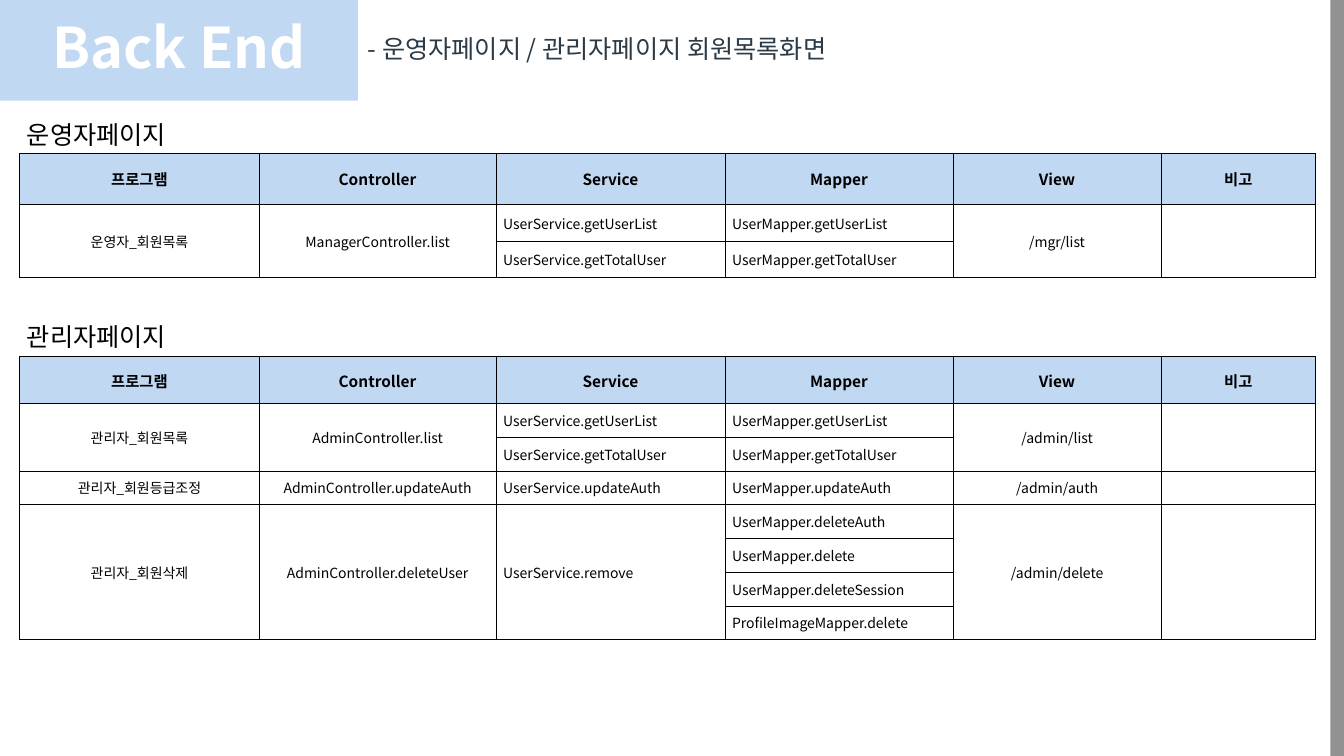
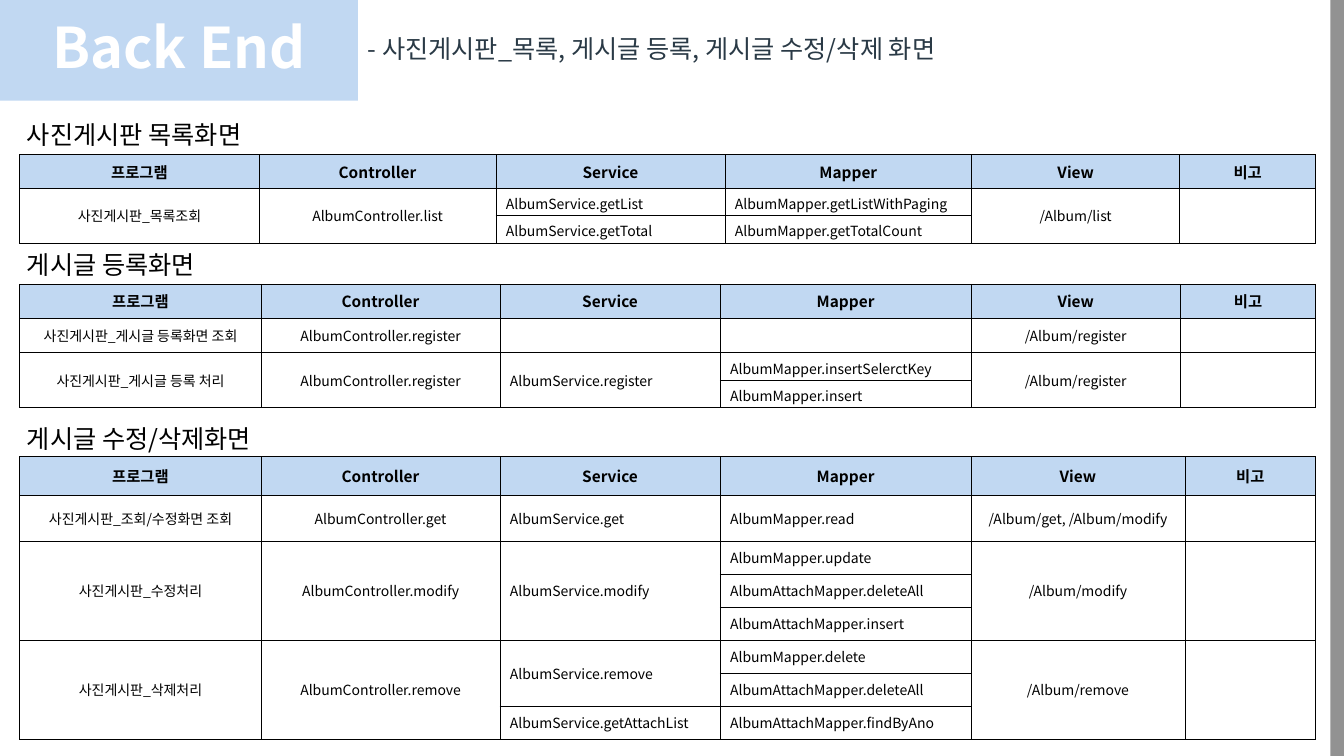
from lxml.etree import SubElement
from pptx import Presentation
from pptx.dml.color import RGBColor
from pptx.enum.shapes import MSO_SHAPE
from pptx.enum.text import MSO_ANCHOR, PP_ALIGN
from pptx.oxml.ns import qn
from pptx.util import Cm, Pt

FONT = "Noto Sans CJK KR"
BLUE, GRAY, NAVY, BLACK, WHITE = "C1D8F2", "929292", "2A3A46", "000000", "FFFFFF"
PAGE_WIDTH, PAGE_HEIGHT = 33.87, 19.05
STRIPE_WIDTH = 0.34
BAND_WIDTH, BAND_HEIGHT = 9.02, 2.54
LABEL_LEFT, LABEL_HEIGHT = 0.43, 1.02
TABLE_LEFT, TABLE_WIDTH = 0.5, 32.66
TIGHT, WIDE = (0.18, 0.1), (0.25, 0.13)  # side and top/bottom cell margins
LEFT_ALIGNED = (2, 3)

BAND_TEXT = "Back End"
HEADER = ["프로그램", "Controller", "Service", "Mapper", "View", "비고"]

# Widths leave out the last column, which takes what remains.
# Entries: program, controller, services, mappers, view.
# A service list gives one item per mapper row; None extends the cell above.
USER_WIDTHS = [6.03, 5.97, 5.77, 5.75, 5.24]
PAGES = [
    {
        "title": "- 운영자페이지 / 관리자페이지 회원목록화면",
        "margins": TIGHT,
        "sections": [
            {
                "label": "운영자페이지", "label_top": 2.87, "table_top": 3.86,
                "widths": USER_WIDTHS, "heights": [1.3] + [0.92] * 2,
                "entries": [
                    ("운영자_회원목록", "ManagerController.list",
                     ["UserService.getUserList", "UserService.getTotalUser"],
                     ["UserMapper.getUserList", "UserMapper.getTotalUser"], "/mgr/list"),
                ],
            },
            {
                "label": "관리자페이지", "label_top": 7.98, "table_top": 8.99,
                "widths": USER_WIDTHS, "heights": [1.18] + [0.85] * 7,
                "entries": [
                    ("관리자_회원목록", "AdminController.list",
                     ["UserService.getUserList", "UserService.getTotalUser"],
                     ["UserMapper.getUserList", "UserMapper.getTotalUser"], "/admin/list"),
                    ("관리자_회원등급조정", "AdminController.updateAuth",
                     ["UserService.updateAuth"], ["UserMapper.updateAuth"], "/admin/auth"),
                    ("관리자_회원삭제", "AdminController.deleteUser",
                     ["UserService.remove", None, None, None],
                     ["UserMapper.deleteAuth", "UserMapper.delete",
                      "UserMapper.deleteSession", "ProfileImageMapper.delete"],
                     "/admin/delete"),
                ],
            },
        ],
    },
    {
        "title": "- 사진게시판_목록, 게시글 등록, 게시글 수정/삭제 화면",
        "margins": WIDE,
        "sections": [
            {
                "label": "사진게시판 목록화면", "label_top": 2.87, "table_top": 3.9,
                "widths": [6.03, 5.97, 5.77, 6.22, 5.24], "heights": [0.85] + [0.68] * 2,
                "entries": [
                    ("사진게시판_목록조회", "AlbumController.list",
                     ["AlbumService.getList", "AlbumService.getTotal"],
                     ["AlbumMapper.getListWithPaging", "AlbumMapper.getTotalCount"],
                     "/Album/list"),
                ],
            },
            {
                "label": "게시글 등록화면", "label_top": 6.17, "table_top": 7.16,
                "widths": [6.08, 6.02, 5.55, 6.32, 5.28], "heights": [0.85, 0.88] + [0.68] * 2,
                "entries": [
                    ("사진게시판_게시글 등록화면 조회", "AlbumController.register",
                     [""], [""], "/Album/register"),
                    ("사진게시판_게시글 등록 처리", "AlbumController.register",
                     ["AlbumService.register", None],
                     ["AlbumMapper.insertSelerctKey", "AlbumMapper.insert"],
                     "/Album/register"),
                ],
            },
            {
                "label": "게시글 수정/삭제화면", "label_top": 10.54, "table_top": 11.5,
                "widths": [6.08, 6.02, 5.55, 6.32, 5.39], "heights": [0.98, 1.16] + [0.83] * 6,
                "entries": [
                    ("사진게시판_조회/수정화면 조회", "AlbumController.get",
                     ["AlbumService.get"], ["AlbumMapper.read"],
                     "/Album/get, /Album/modify"),
                    ("사진게시판_수정처리", "AlbumController.modify",
                     ["AlbumService.modify", None, None],
                     ["AlbumMapper.update", "AlbumAttachMapper.deleteAll",
                      "AlbumAttachMapper.insert"], "/Album/modify"),
                    ("사진게시판_삭제처리", "AlbumController.remove",
                     ["AlbumService.remove", None, "AlbumService.getAttachList"],
                     ["AlbumMapper.delete", "AlbumAttachMapper.deleteAll",
                      "AlbumAttachMapper.findByAno"], "/Album/remove"),
                ],
            },
        ],
    },
]


def color(value):
    return RGBColor.from_string(value)


def write(frame, text, size=18, fill=BLACK, bold=False, align=PP_ALIGN.LEFT, spacing=None):
    para = frame.paragraphs[0]
    para.alignment = align
    if spacing:
        para.line_spacing = spacing
    if not text:
        # The end mark carries the size, so an empty cell does not stretch its row.
        SubElement(para._p, qn("a:endParaRPr"), sz=str(size * 100))
        return
    span = para.add_run()
    span.text = text
    span.font.size = Pt(size)
    span.font.bold = bold
    span.font.name = FONT
    span.font.color.rgb = color(fill)
    SubElement(span._r.get_or_add_rPr(), qn("a:ea"), typeface=FONT)


def add_rectangle(page, left, top, width, height, fill):
    box = page.shapes.add_shape(MSO_SHAPE.RECTANGLE, Cm(left), Cm(top), Cm(width), Cm(height))
    box.shadow.inherit = False
    box.fill.solid()
    box.fill.fore_color.rgb = color(fill)
    box.line.fill.background()
    return box


def add_text(page, text, left, top, width, height, anchor=MSO_ANCHOR.TOP, **style):
    box = page.shapes.add_textbox(Cm(left), Cm(top), Cm(width), Cm(height))
    box.text_frame.word_wrap = True
    box.text_frame.vertical_anchor = anchor
    write(box.text_frame, text, **style)


def add_frame(page, title):
    """Draw the edge stripe, the title band and the page title."""
    stripe_left = PAGE_WIDTH - STRIPE_WIDTH
    add_rectangle(page, stripe_left, 0, STRIPE_WIDTH, PAGE_HEIGHT, GRAY)
    band = add_rectangle(page, 0, 0, BAND_WIDTH, BAND_HEIGHT, BLUE)
    band.text_frame.vertical_anchor = MSO_ANCHOR.MIDDLE
    write(band.text_frame, BAND_TEXT, size=40, fill=WHITE, bold=True,
          align=PP_ALIGN.CENTER, spacing=0.9)
    add_text(page, title, BAND_WIDTH, 0, stripe_left - BAND_WIDTH, BAND_HEIGHT,
             anchor=MSO_ANCHOR.MIDDLE, fill=NAVY, spacing=0.9)


def expand(entries):
    """Turn entries into table rows, with None where a cell extends the one above."""
    rows = [HEADER]
    for program, controller, services, mappers, view in entries:
        for index, (service, mapper) in enumerate(zip(services, mappers)):
            shared = (program, controller, view, "") if index == 0 else (None,) * 4
            rows.append([*shared[:2], service, mapper, *shared[2:]])
    return rows


def add_borders(cell):
    properties = cell._tc.get_or_add_tcPr()
    for side in ("lnL", "lnR", "lnT", "lnB"):
        line = SubElement(properties, qn(f"a:{side}"), w=str(Pt(0.56)))
        SubElement(SubElement(line, qn("a:solidFill")), qn("a:srgbClr"), val=BLACK)


def format_cell(cell, text, is_header, column, margins):
    side, edge = TIGHT if is_header else margins
    cell.margin_left = cell.margin_right = Cm(side)
    cell.margin_top = cell.margin_bottom = Cm(edge)
    cell.vertical_anchor = MSO_ANCHOR.MIDDLE
    add_borders(cell)
    cell.fill.solid()
    cell.fill.fore_color.rgb = color(BLUE if is_header else WHITE)
    to_left = column in LEFT_ALIGNED and not is_header
    write(cell.text_frame, text, size=11 if is_header else 10, bold=is_header,
          align=PP_ALIGN.LEFT if to_left else PP_ALIGN.CENTER)


def merge_down(table, rows):
    for column in range(len(HEADER)):
        start = 0
        for index in range(1, len(rows) + 1):
            if index == len(rows) or rows[index][column] is not None:
                if index - start > 1:
                    table.cell(start, column).merge(table.cell(index - 1, column))
                start = index


def add_section(page, section, margins):
    add_text(page, section["label"], LABEL_LEFT, section["label_top"],
             BAND_WIDTH - LABEL_LEFT, LABEL_HEIGHT)
    rows = expand(section["entries"])
    widths, heights = section["widths"], section["heights"]
    table = page.shapes.add_table(
        len(rows), len(HEADER), Cm(TABLE_LEFT), Cm(section["table_top"]),
        Cm(TABLE_WIDTH), Cm(sum(heights))).table
    table.first_row = table.horz_banding = False
    for column, width in zip(table.columns, widths + [TABLE_WIDTH - sum(widths)]):
        column.width = Cm(width)
    for row, height in zip(table.rows, heights):
        row.height = Cm(height)
    for index, texts in enumerate(rows):
        for column, text in enumerate(texts):
            format_cell(table.cell(index, column), text, index == 0, column, margins)
    merge_down(table, rows)


def main():
    deck = Presentation()
    deck.slide_width, deck.slide_height = Cm(PAGE_WIDTH), Cm(PAGE_HEIGHT)
    for content in PAGES:
        page = deck.slides.add_slide(deck.slide_layouts[6])
        add_frame(page, content["title"])
        for section in content["sections"]:
            add_section(page, section, content["margins"])
    deck.save("out.pptx")


if __name__ == "__main__":
    main()
